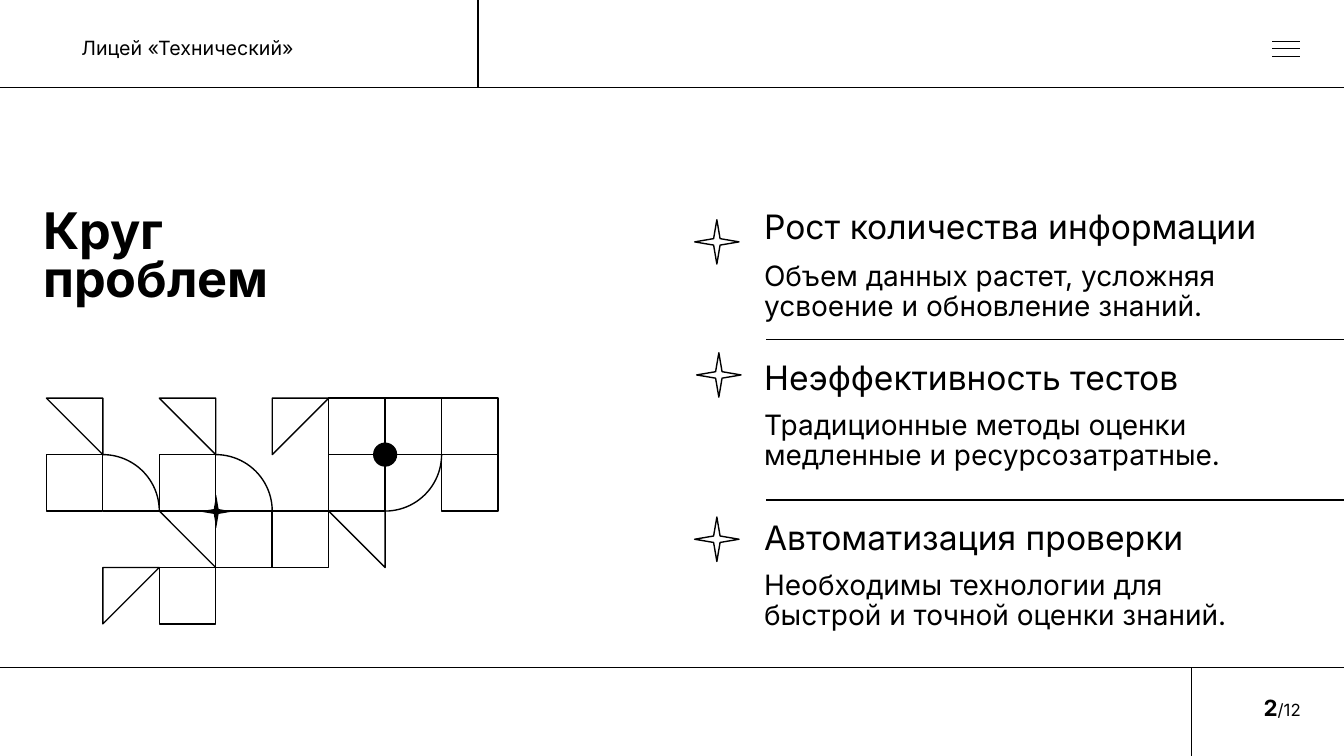
import pptx
import pptx.util
import pptx.dml.color
import pptx.enum.shapes
import pptx.enum.text
import pptx.oxml

SCALE = 9144
WIDTH, HEIGHT = 1333, 750
COLORS = {"ink": "000000", "paper": "FFFFFF"}
FONT = "Inter"

SCHOOL = "Лицей «Технический»"
TITLE = "Круг проблем"
PAGE_NUMBER, PAGE_TOTAL = "2", "/12"
PROBLEMS = [
    {"heading": "Рост количества информации", "heading_top": 204,
     "detail": "Объем данных растет, усложняя усвоение и обновление знаний.",
     "detail_top": 255, "star": (689, 218)},
    {"heading": "Неэффективность тестов", "heading_top": 354,
     "detail": "Традиционные методы оценки медленные и ресурсозатратные.",
     "detail_top": 403, "star": (691, 350)},
    {"heading": "Автоматизация проверки", "heading_top": 512,
     "detail": "Необходимы технологии для быстрой и точной оценки знаний.",
     "detail_top": 562, "star": (689, 513)},
]
HEADER_Y, FOOTER_Y = 87, 662
FRAME_LINES = [
    (0, HEADER_Y, WIDTH, HEADER_Y),
    (0, FOOTER_Y, WIDTH, FOOTER_Y),
    (474, 0, 474, HEADER_Y),
    (1182, FOOTER_Y, 1182, HEIGHT),
]
MENU_LINES = [(1262, y, 1289, y) for y in (41, 48, 56)]
DIVIDERS = [(760, y, WIDTH, y) for y in (337, 496)]

CELL, ORNAMENT_LEFT, ORNAMENT_TOP = 56, 46, 395
SQUARES = [(0, 1), (2, 3), (2, 1), (3, 2), (5, 1), (5, 0), (6, 0), (7, 1), (7, 0), (4, 2)]
TRIANGLES = [(4, 0, 90), (1, 3, 90), (0, 0, 180), (2, 0, 180), (5, 2, 180)]
ARCS = [(0, 1, 0), (2, 1, 0), (5, 0, 90)]
GRID_LINES = [((1, 2), (2, 2)), ((3, 3), (2, 2))]
SPARK_NODE, SPARK_SIZE = (3, 2), 33
DOT_NODE, DOT_SIZE = (6, 1), 24

KIND = pptx.enum.shapes.MSO_SHAPE
ALIGN = pptx.enum.text.PP_ALIGN
ANCHOR = pptx.enum.text.MSO_ANCHOR


def emu(px):
    return pptx.util.Emu(px * SCALE)


def color(name):
    return pptx.dml.color.RGBColor.from_string(COLORS[name])


def node(column, row):
    return ORNAMENT_LEFT + column * CELL, ORNAMENT_TOP + row * CELL


def add_line(page, x1, y1, x2, y2):
    line = page.shapes.add_connector(
        pptx.enum.shapes.MSO_CONNECTOR.STRAIGHT, emu(x1), emu(y1), emu(x2), emu(y2))
    line.line.color.rgb = color("ink")
    line.line.width = pptx.util.Pt(1)
    line._element.spPr.append(pptx.oxml.parse_xml(
        '<a:effectLst xmlns:a="http://schemas.openxmlformats.org/drawingml/2006/main"/>'))


def add_figure(page, kind, left, top, size, rotation=0, solid=False):
    figure = page.shapes.add_shape(kind, emu(left), emu(top), emu(size), emu(size))
    figure.shadow.inherit = False
    figure.rotation = rotation
    if solid:
        figure.fill.solid()
        figure.fill.fore_color.rgb = color("ink")
        figure.line.fill.background()
    else:
        figure.fill.background()
        figure.line.color.rgb = color("ink")
        figure.line.width = pptx.util.Pt(1)
    if kind == KIND.STAR_4_POINT:
        figure.adjustments[0] = 0.103


def add_centred(page, kind, place, size):
    x, y = node(*place)
    add_figure(page, kind, x - size // 2, y - size // 2, size, solid=True)


def add_text(page, area, spans, spacing=None, before=0, align=ALIGN.LEFT,
             anchor=ANCHOR.TOP, wrap=True):
    box = page.shapes.add_textbox(*map(emu, area))
    frame = box.text_frame
    frame.word_wrap = wrap
    frame.vertical_anchor = anchor
    para = frame.paragraphs[0]
    para.alignment = align
    para.line_spacing = spacing
    para.space_before = pptx.util.Pt(before)
    for text, size, bold in spans:
        span = para.add_run()
        span.text = text
        span.font.name = FONT
        span.font.size = pptx.util.Pt(size)
        span.font.bold = bold
        span.font.color.rgb = color("ink")


def add_ornament(page):
    for column, row in SQUARES:
        add_figure(page, KIND.RECTANGLE, *node(column, row), CELL)
    for start, end in GRID_LINES:
        add_line(page, *node(*start), *node(*end))
    for column, row, rotation in TRIANGLES:
        add_figure(page, KIND.RIGHT_TRIANGLE, *node(column, row), CELL, rotation)
    for column, row, rotation in ARCS:
        add_figure(page, KIND.ARC, *node(column, row), 2 * CELL, rotation)
    add_centred(page, KIND.STAR_4_POINT, SPARK_NODE, SPARK_SIZE)
    add_centred(page, KIND.OVAL, DOT_NODE, DOT_SIZE)


def main():
    deck = pptx.Presentation()
    deck.slide_width, deck.slide_height = emu(WIDTH), emu(HEIGHT)
    page = deck.slides.add_slide(deck.slide_layouts[6])
    page.background.fill.solid()
    page.background.fill.fore_color.rgb = color("paper")

    add_text(page, (1000, 682, 300, 40),
             [(PAGE_NUMBER, 16, True), (PAGE_TOTAL, 12, False)],
             align=ALIGN.RIGHT, anchor=ANCHOR.MIDDLE)
    add_text(page, (71, 31, 234, 34), [(SCHOOL, 14, False)], wrap=False)
    for ends in FRAME_LINES + MENU_LINES + DIVIDERS:
        add_line(page, *ends)
    add_ornament(page)

    add_text(page, (33, 204, 317, 108), [(TITLE, 36, True)], spacing=0.8)
    for problem in PROBLEMS:
        add_text(page, (748, problem["heading_top"], 543, 50),
                 [(problem["heading"], 24, False)], spacing=0.9, before=10)
        add_text(page, (748, problem["detail_top"], 530, 67),
                 [(problem["detail"], 20, False)], spacing=0.9, before=10)
        add_figure(page, KIND.STAR_4_POINT, *problem["star"], 44)

    deck.save("out.pptx")


if __name__ == "__main__":
    main()
